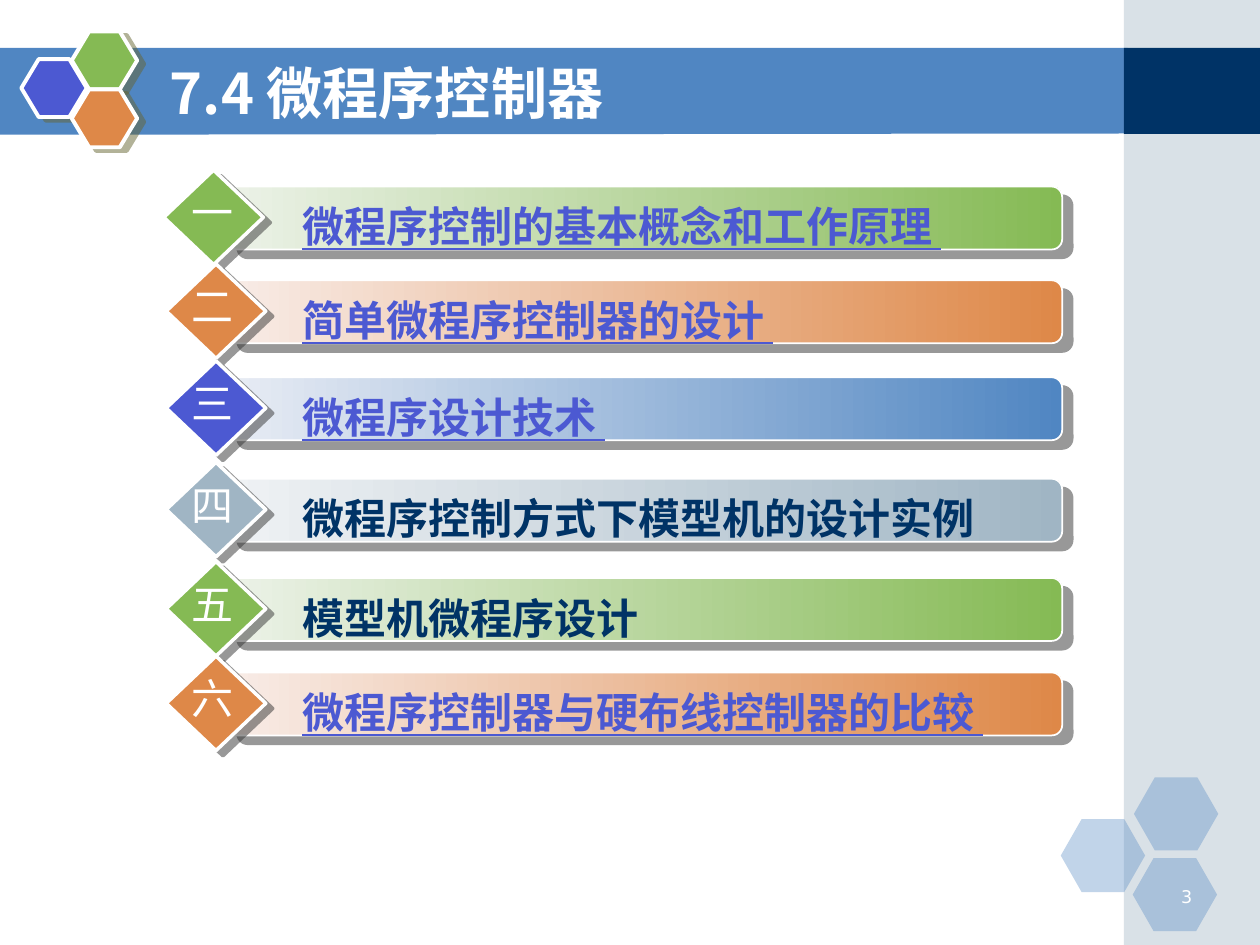
"""Build the outline slide for section 7.4, with six banner rows and hexagon trim."""
from lxml.etree import SubElement as Sub
from pptx import Presentation
from pptx.dml.color import RGBColor as Rgb
from pptx.enum.shapes import MSO_SHAPE as Kind
from pptx.enum.text import MSO_ANCHOR as Anchor, PP_ALIGN as Align
from pptx.oxml.ns import qn
from pptx.util import Pt

INK = {
    "white": "FFFFFF", "navy": "003366", "blue": "5086C2", "violet": "4C59D2",
    "green": "85BA54", "orange": "DE8848", "gray": "A0B5C4",
    "olive": "666633", "dark": "333333",
}
PALE = {"green": "ECF2E8", "orange": "F8ECE7", "blue": "E8ECF4", "gray": "EFF2F4"}
CJK, SANS = "Noto Sans CJK SC", "DejaVu Sans"
TITLE = "7.4 微程序控制器"
PAGE = "3"
ROWS = [
    ("一", "微程序控制的基本概念和工作原理", "green", "green", True, 106.6),
    ("二", "简单微程序控制器的设计", "orange", "orange", True, 160.2),
    ("三", "微程序设计技术", "blue", "violet", True, 215.6),
    ("四", "微程序控制方式下模型机的设计实例", "gray", "gray", False, 273.6),
    ("五", "模型机微程序设计", "green", "green", False, 330.3),
    ("六", "微程序控制器与硬布线控制器的比较", "orange", "orange", True, 384.3),
]
PANELS = [(0, 540, "gray", 40), (27.4, 49.2, "navy", 100)]
TRIM = [(606.2, 468), (648, 444.2), (647.3, 490.3)]
BADGE = [(12.2, 33.8, "violet"), (41, 18, "green"), (41, 51.1, "orange")]
BAND = [(-0.7, 27.4), (644.4, 27.4), (644.4, 76.3), (-0.7, 77)]

deck = Presentation()
deck.slide_width, deck.slide_height = Pt(720), Pt(540)
slide = deck.slides.add_slide(deck.slide_layouts[6])
shapes = slide.shapes


def paint(shape, fill, pale=None, alpha=100, line=0, shade=None):
    shape.shadow.inherit = False
    props = shape._element.spPr
    if pale:
        shape.fill.gradient()
        shape.fill.gradient_angle = 0
        for stop, tint in zip(shape.fill.gradient_stops, (pale, INK[fill])):
            stop.color.rgb = Rgb.from_string(tint)
    else:
        shape.fill.solid()
        shape.fill.fore_color.rgb = Rgb.from_string(INK[fill])
    if alpha < 100:
        tone = props.find(qn("a:solidFill")).find(qn("a:srgbClr"))
        Sub(tone, qn("a:alpha"), val=str(alpha * 1000))
    if line:
        shape.line.color.rgb = Rgb.from_string(INK["white"])
        shape.line.width = Pt(line)
    else:
        shape.line.fill.background()
    if shade:
        tint, dist, angle = shade
        cast = Sub(props.find(qn("a:effectLst")), qn("a:outerShdw"),
                   blurRad="0", dist=str(Pt(dist)), dir=str(angle * 60000),
                   algn="ctr", rotWithShape="0")
        Sub(Sub(cast, qn("a:srgbClr"), val=INK[tint]), qn("a:alpha"), val="50000")


def draw(kind, x, y, w, h, fill, adj=None, **look):
    shape = shapes.add_shape(kind, Pt(x), Pt(y), Pt(w), Pt(h))
    if adj:
        shape.adjustments[0] = adj
    paint(shape, fill, **look)


def write(text, x, y, w, h, size=24, font=CJK, ink="white", bold=False,
          link=False, wrap=True, anchor=Anchor.TOP, align=Align.LEFT):
    frame = shapes.add_textbox(Pt(x), Pt(y), Pt(w), Pt(h)).text_frame
    frame.word_wrap = wrap
    frame.vertical_anchor = anchor
    para = frame.paragraphs[0]
    para.alignment = align
    for part, thick in [(text, bold)] + ([(" ", False)] if link else []):
        run = para.add_run()
        run.text = part
        face = run.font
        face.size, face.name, face.bold = Pt(size), font, thick
        face.underline = link
        face.color.rgb = Rgb.from_string(INK[ink])
        Sub(run._r.get_or_add_rPr(), qn("a:ea"), typeface=font)


path = shapes.build_freeform(Pt(BAND[0][0]), Pt(BAND[0][1]))
path.add_line_segments([(Pt(x), Pt(y)) for x, y in BAND[1:]], close=True)
paint(path.convert_to_shape(), "blue")
for y, h, fill, alpha in PANELS:
    draw(Kind.RECTANGLE, 642.2, y, 77.8, h, fill, alpha=alpha)
for x, y in TRIM:
    draw(Kind.HEXAGON, x, y, 48.2, 41.8, "blue", adj=0.286, alpha=35)
for x, y, fill in BADGE:
    draw(Kind.HEXAGON, x, y, 37.4, 33.1, fill, adj=0.3, line=2.25,
         shade=("olive", 4.5, 27))
write(PAGE, 652.3, 502.6, 36, 18, size=10, font=SANS, align=Align.RIGHT)
write(TITLE, 90, 30.2, 527.8, 44.6, size=32, bold=True, anchor=Anchor.MIDDLE)

for mark, text, fill, gem, link, y in ROWS:
    draw(Kind.ROUNDED_RECTANGLE, 129.6, y, 477.4, 36, fill, adj=0.167,
         pale=PALE[fill], line=1, shade=("dark", 7.8, 40))
    write(text, 165.6, y + 4.5, 460, 36, ink="violet" if link else "navy",
          bold=True, link=link)
for row, (mark, text, fill, gem, link, y) in enumerate(ROWS):
    draw(Kind.DIAMOND, 95 if row else 93.6, y - 9.4, 56.9, 54, gem, line=2,
         shade=("dark", 5, 37))
    write(mark, 102.2, y - 3.3, 38.2, 36, wrap=False)

deck.save("out.pptx")
